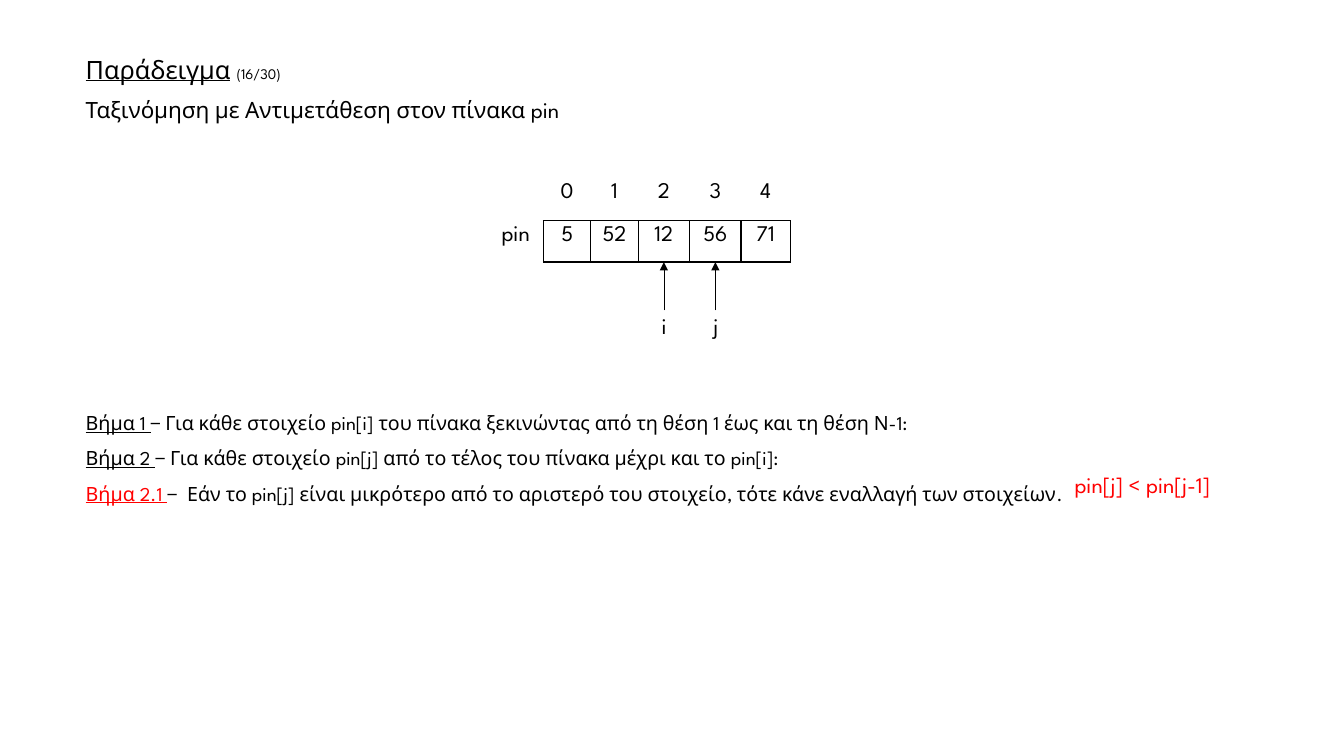
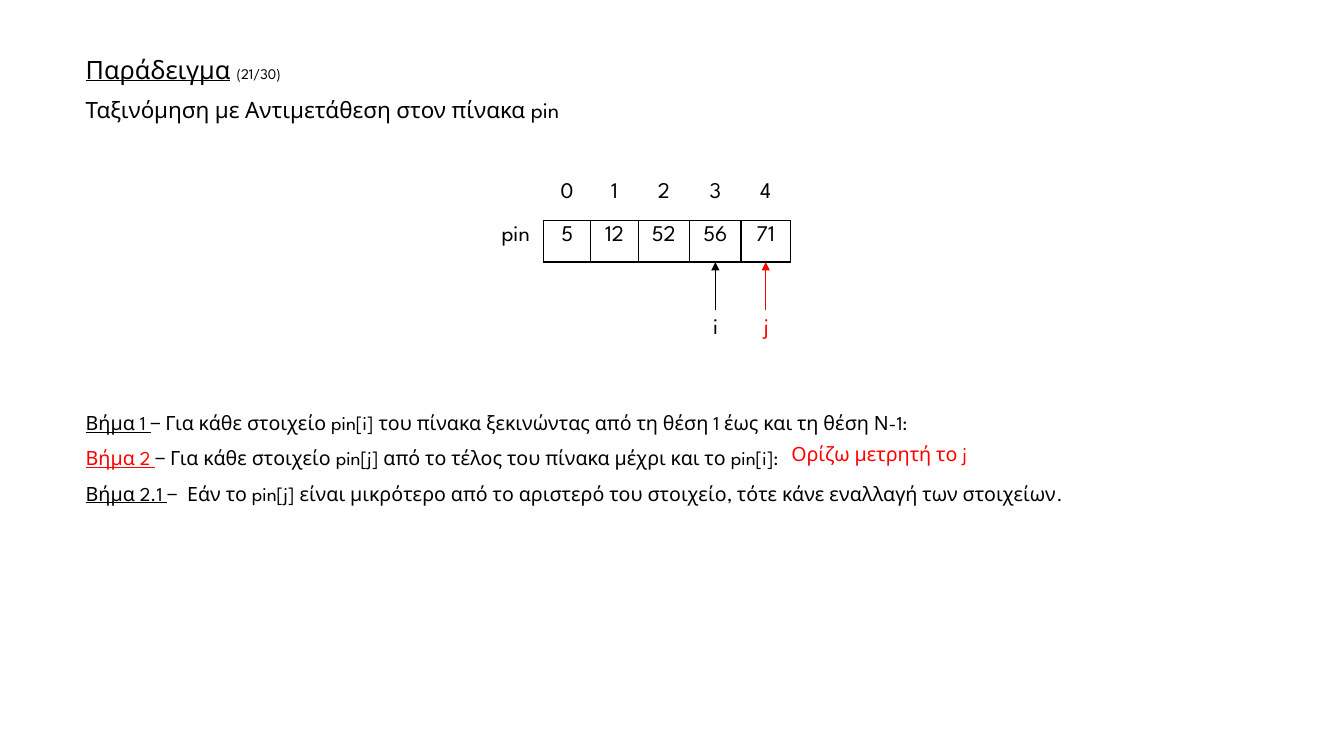
from itertools import accumulate

from lxml import etree
from pptx import Presentation
from pptx import util as u
from pptx.dml.color import RGBColor
from pptx.enum import shapes, text
from pptx.oxml import ns

FONT = "League Spartan"
BLACK, RED = "000000", "FF0000"
WIDTH, HEIGHT = 13.33, 7.5
MARGIN = 0.75
COLUMNS = [0.55, 0.47, 0.47, 0.51, 0.51, 0.49]
ROWS = [0.43, 0.41]
ARRAY_LEFT, ARRAY_TOP = 4.84, 1.76
ARRAY_BOTTOM = ARRAY_TOP + sum(ROWS)
EDGES = list(accumulate(COLUMNS, initial=ARRAY_LEFT))
MARKER_TOP, MARKER_WIDTH, MARKER_HEIGHT = 3.08, 0.24, 0.36
STEPS = [
    ("Βήμα 1 ", "− Για κάθε στοιχείο pin[i] του πίνακα ξεκινώντας από τη θέση 1 έως και τη θέση Ν-1:"),
    ("Βήμα 2 ", "− Για κάθε στοιχείο pin[j] από το τέλος του πίνακα μέχρι και το pin[i]:"),
    ("Βήμα 2.1 ", "−  Εάν το pin[j] είναι μικρότερο από το αριστερό του στοιχείο, "
                  "τότε κάνε εναλλαγή των στοιχείων."),
]


def rgb(value):
    """Turn a hex string into a colour."""
    return RGBColor.from_string(value)


def add_run(paragraph, words, size, color=BLACK, underline=False):
    """Append one formatted run."""
    run = paragraph.add_run()
    run.text = words
    font = run.font
    font.name, font.size, font.bold, font.underline = FONT, u.Pt(size), False, underline
    font.color.rgb = rgb(color)


def place(box, left, top, width, height):
    """Move a box and give its text frame the common settings."""
    box.left, box.top, box.width, box.height = map(u.Inches, (left, top, width, height))
    frame = box.text_frame
    frame.word_wrap = True
    frame.auto_size = text.MSO_AUTO_SIZE.NONE
    frame.vertical_anchor = text.MSO_ANCHOR.TOP
    return frame


def start_paragraph(frame, index=0, spacing=0.9, before=0, align=text.PP_ALIGN.LEFT):
    """Return the paragraph at an index, unbulleted and spaced."""
    paragraph = frame.paragraphs[0] if index == 0 else frame.add_paragraph()
    props = paragraph._p.get_or_add_pPr()
    props.set("marL", "0")
    props.set("indent", "0")
    etree.SubElement(props, ns.qn("a:buNone"))
    paragraph.alignment = align
    paragraph.line_spacing = spacing
    paragraph.space_before = u.Pt(before)
    return paragraph


def add_heading(slide, number):
    """Fill the title with the example number and its subject."""
    frame = place(slide.shapes.title, MARGIN, 0.52, 10.79, 0.77)
    example = start_paragraph(frame)
    add_run(example, "Παράδειγμα", 18, underline=True)
    add_run(example, " ", 18)
    add_run(example, f"({number}/30)", 10.5)
    subject = start_paragraph(frame, 1, before=10)
    add_run(subject, "Ταξινόμηση με Αντιμετάθεση στον πίνακα pin", 16)


def add_steps(slide, active):
    """Fill the body with the algorithm, the active step in red."""
    frame = place(slide.placeholders[1], MARGIN, 3.91, WIDTH - 2.4 * MARGIN, 1.12)
    for index, (label, action) in enumerate(STEPS):
        step = start_paragraph(frame, index, spacing=1.5)
        add_run(step, label, 14, RED if index == active else BLACK, underline=True)
        add_run(step, action, 14)


def set_borders(cell, sides):
    """Draw the named sides of a cell and clear the others."""
    props = cell._tc.get_or_add_tcPr()
    for position, side in enumerate("LRTB"):
        line = etree.Element(ns.qn(f"a:ln{side}"), w=str(u.Pt(1)))
        if side in sides:
            fill = etree.SubElement(line, ns.qn("a:solidFill"))
            etree.SubElement(fill, ns.qn("a:srgbClr"), val=BLACK)
        else:
            etree.SubElement(line, ns.qn("a:noFill"))
        props.insert(position, line)


def add_array(slide, values):
    """Draw the array as a row of indexes above a row of values."""
    frame = slide.shapes.add_table(len(ROWS), len(COLUMNS), u.Inches(ARRAY_LEFT), u.Inches(ARRAY_TOP),
                                   u.Inches(sum(COLUMNS)), u.Inches(sum(ROWS)))
    array = frame.table
    array.first_row = array.horz_banding = False
    for column, width in zip(array.columns, COLUMNS):
        column.width = u.Inches(width)
    for row, height in zip(array.rows, ROWS):
        row.height = u.Inches(height)
    contents = [["", *range(len(values))], ["pin", *values]]
    for r, line in enumerate(contents):
        for c, content in enumerate(line):
            cell = array.cell(r, c)
            cell.fill.background()
            if r == 0:
                set_borders(cell, "B" if c else "")
            else:
                set_borders(cell, "LRTB" if c else "R")
            paragraph = cell.text_frame.paragraphs[0]
            paragraph.alignment = text.PP_ALIGN.CENTER
            if content != "":
                add_run(paragraph, str(content), 16)


def add_note(slide, words, size, area, color=RED, align=text.PP_ALIGN.LEFT):
    """Add a short free-standing text."""
    note = slide.shapes.add_textbox(0, 0, 0, 0)
    paragraph = start_paragraph(place(note, *area), align=align)
    add_run(paragraph, words, size, color)
    return note


def add_marker(slide, name, index, color=BLACK):
    """Point a named counter at the middle of an array cell."""
    middle = (EDGES[index + 1] + EDGES[index + 2]) / 2
    area = (middle - MARKER_WIDTH / 2, MARKER_TOP, MARKER_WIDTH, MARKER_HEIGHT)
    label = add_note(slide, name, 16, area, color, text.PP_ALIGN.CENTER)
    arrow = slide.shapes.add_connector(shapes.MSO_CONNECTOR.STRAIGHT, u.Inches(middle), u.Inches(MARKER_TOP),
                                       u.Inches(middle), u.Inches(ARRAY_BOTTOM))
    arrow.begin_connect(label, 0)
    arrow.line.color.rgb = rgb(color)
    arrow.line.width = u.Pt(0.5)
    etree.SubElement(arrow.line._get_or_add_ln(), ns.qn("a:tailEnd"), type="triangle")
    etree.SubElement(arrow._element.spPr, ns.qn("a:effectLst"))


def add_example(deck, number, values, markers, active, note):
    """Add one slide of the sorting example."""
    slide = deck.slides.add_slide(deck.slide_layouts[1])
    add_steps(slide, active)
    add_heading(slide, number)
    add_array(slide, values)
    for marker in markers:
        add_marker(slide, *marker)
    add_note(slide, *note)


def main():
    """Build and save the deck."""
    deck = Presentation()
    deck.slide_width, deck.slide_height = u.Inches(WIDTH), u.Inches(HEIGHT)
    add_example(deck, 16, [5, 52, 12, 56, 71], [("i", 2), ("j", 3)], 2,
                ("pin[j] < pin[j-1]", 16, (10.56, 4.66, 1.98, 0.47)))
    add_example(deck, 21, [5, 12, 52, 56, 71], [("i", 3), ("j", 4, RED)], 1,
                ("Ορίζω μετρητή το j", 14, (7.75, 4.36, 2.56, 0.39)))
    deck.save("out.pptx")


if __name__ == "__main__":
    main()
